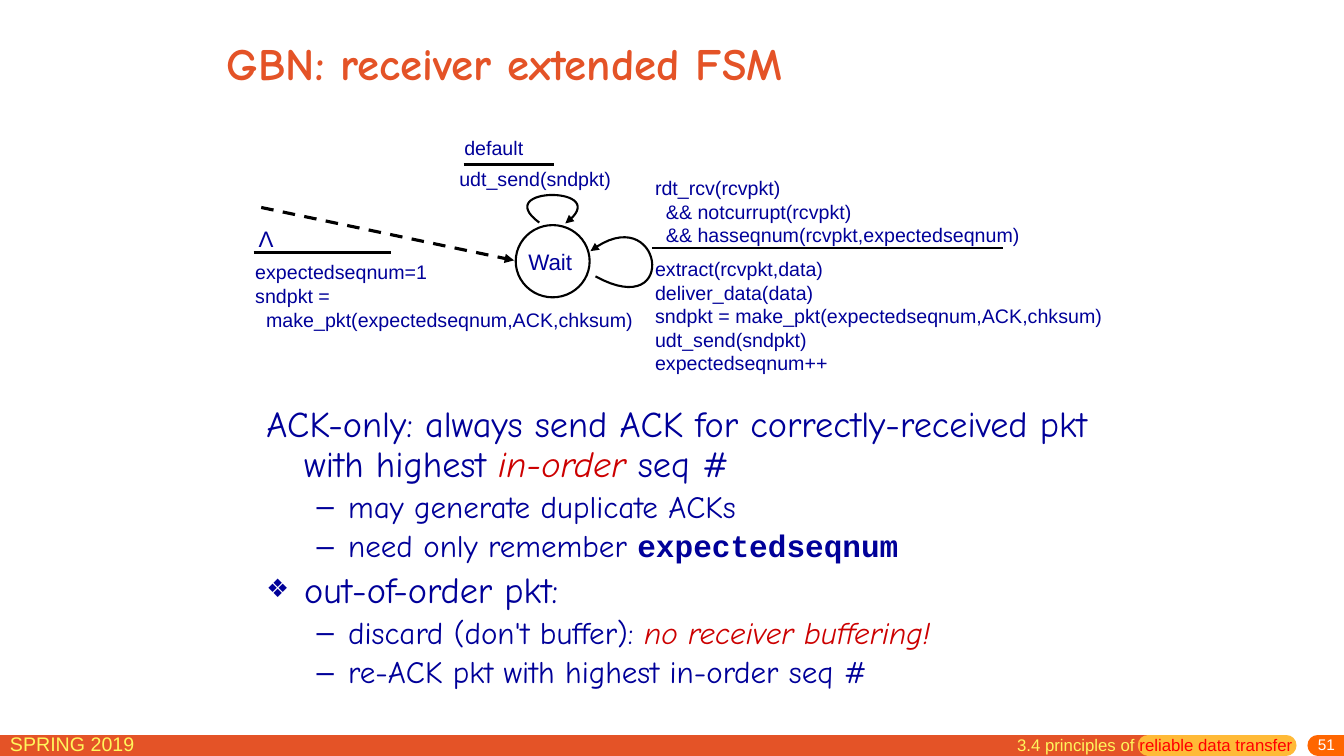
"""Build the slide on the extended state machine of the GBN receiver."""
import dataclasses

import pptx
import pptx.dml.color
import pptx.enum.dml
import pptx.enum.shapes
import pptx.enum.text
import pptx.oxml
import pptx.oxml.ns
import pptx.util

COLUMNS, ROWS = 160, 90
SLIDE_WIDTH, SLIDE_HEIGHT = pptx.util.Inches(13.33), pptx.util.Inches(7.5)
LEFT = pptx.enum.text.PP_ALIGN.LEFT
CENTER = pptx.enum.text.PP_ALIGN.CENTER
RIGHT = pptx.enum.text.PP_ALIGN.RIGHT
MIDDLE = pptx.enum.text.MSO_ANCHOR.MIDDLE
DASH = pptx.enum.dml.MSO_LINE.DASH


@dataclasses.dataclass(frozen=True)
class Theme:
    """Colours, fonts and type sizes of the slide."""
    ink: str = "000099"
    accent: str = "CC0000"
    title: str = "E45327"
    stroke: str = "000000"
    paper: str = "FFFFFF"
    band: str = "E45327"
    pill: str = "FFBA37"
    badge: str = "FF6600"
    footer: str = "FFF65C"
    highlight: str = "FF0000"
    hand: str = "Comic Neue"
    sans: str = "Arial"
    mono: str = "Courier New"
    title_size: float = 32
    point_size: float = 25.9
    detail_size: float = 22.2
    state_size: float = 16
    label_size: float = 14
    section_size: float = 12
    page_size: float = 11
    thin: float = 1.5
    thick: float = 2.25
    bar: float = 15


THEME = Theme()


def col(count):
    """Return a horizontal length in grid columns."""
    return round(SLIDE_WIDTH * count / COLUMNS)


def row(count):
    """Return a vertical length in grid rows."""
    return round(SLIDE_HEIGHT * count / ROWS)


def rgb(code):
    """Return the colour for a hexadecimal code."""
    return pptx.dml.color.RGBColor.from_string(code)


def apply(target, values):
    """Set every attribute named in a dict of format values."""
    for name, value in values.items():
        setattr(target, name, value)


def append_xml(parent, tag, **attributes):
    """Append one empty drawing element to a parent."""
    element = pptx.oxml.parse_xml(f"<a:{tag} {pptx.oxml.ns.nsdecls('a')}/>")
    for name, value in attributes.items():
        element.set(name, value)
    parent.append(element)


def place(box):
    """Turn a box in grid units into position and size attributes."""
    x, y, width, height = box
    return {"left": col(x), "top": row(y), "width": col(width), "height": row(height)}


def write(paragraph, text, size, color=THEME.ink, font=THEME.sans, **extras):
    """Add one formatted run to a paragraph."""
    run = paragraph.add_run()
    run.text = text
    apply(run.font, {"size": pptx.util.Pt(size), "name": font, **extras})
    run.font.color.rgb = rgb(color)


def next_paragraph(frame, index):
    """Return the first paragraph of a frame, or a new one after it."""
    return frame.add_paragraph() if index else frame.paragraphs[0]


def add_label(slide, box, lines, size=THEME.label_size, align=LEFT, **frame_values):
    """Add a text box whose lines are an indent followed by (text, colour) runs."""
    frame = slide.shapes.add_textbox(*place(box).values()).text_frame
    apply(frame, {"word_wrap": True, **frame_values})
    for index, (indent, *runs) in enumerate(lines):
        paragraph = next_paragraph(frame, index)
        paragraph.alignment = align
        if indent:
            paragraph._p.get_or_add_pPr().set("marL", str(col(indent)))
        for text, color in runs:
            write(paragraph, text, size, color)


def code(*texts, indent_from=None):
    """Return label lines in ink, indented from the given line onward."""
    start = len(texts) if indent_from is None else indent_from
    return [(1.3 if index >= start else 0, (text, THEME.ink)) for index, text in enumerate(texts)]


def style_line(shape, color, width, arrow=False, cap=None, **line_values):
    """Format the outline of a connector or a curve."""
    shape.line.color.rgb = rgb(color)
    apply(shape.line, {"width": pptx.util.Pt(width), **line_values})
    outline = shape.element.spPr.find(pptx.oxml.ns.qn("a:ln"))
    if cap:
        outline.set("cap", cap)
    if arrow:
        append_xml(outline, "tailEnd", type="triangle")


def add_line(slide, start, end, color=THEME.stroke, width=THEME.thick, **values):
    """Add a straight connector between two grid points."""
    kind = pptx.enum.shapes.MSO_CONNECTOR.STRAIGHT
    line = slide.shapes.add_connector(kind, col(start[0]), row(start[1]), col(end[0]), row(end[1]))
    style_line(line, color, width, **values)
    append_xml(line.element.spPr, "effectLst")


def add_loop(slide, *controls, steps=32):
    """Add an arrow along the cubic curve of four control points."""
    points = []
    for step in range(steps + 1):
        t = step / steps
        weights = ((1 - t) ** 3, 3 * t * (1 - t) ** 2, 3 * t ** 2 * (1 - t), t ** 3)
        x, y = (sum(w * p[axis] for w, p in zip(weights, controls)) for axis in (0, 1))
        points.append((col(x), row(y)))
    builder = slide.shapes.build_freeform(*points[0])
    builder.add_line_segments(points[1:], close=False)
    loop = builder.convert_to_shape()
    loop.fill.background()
    loop.shadow.inherit = False
    style_line(loop, THEME.stroke, THEME.thin, arrow=True)


def add_state(slide, box, label_box, name):
    """Add a state circle with its name."""
    state = slide.shapes.add_shape(pptx.enum.shapes.MSO_SHAPE.OVAL, *place(box).values())
    state.shadow.inherit = False
    state.fill.solid()
    state.fill.fore_color.rgb = rgb(THEME.paper)
    style_line(state, THEME.stroke, THEME.thin)
    add_label(slide, label_box, code(name), THEME.state_size, CENTER)


def fill_title(slide, box, text):
    """Move the title placeholder and write the title."""
    title = slide.shapes.title
    apply(title, place(box))
    apply(title.text_frame, {"vertical_anchor": MIDDLE, "auto_size": pptx.enum.text.MSO_AUTO_SIZE.NONE})
    paragraph = title.text_frame.paragraphs[0]
    paragraph.alignment = LEFT
    write(paragraph, text, THEME.title_size, THEME.title, THEME.hand, bold=True)


def fill_body(slide, box, points):
    """Move the body placeholder and write the list of (level, bullet, runs)."""
    body = slide.placeholders[1]
    apply(body, place(box))
    body.text_frame.auto_size = pptx.enum.text.MSO_AUTO_SIZE.NONE
    for index, (level, bullet, runs) in enumerate(points):
        size = (THEME.point_size, THEME.detail_size)[level]
        margin, hang = ((4.5, 4.5), (9.75, 3.75))[level]
        paragraph = next_paragraph(body.text_frame, index)
        apply(paragraph, {"level": level, "line_spacing": 0.9, "space_before": pptx.util.Pt(size * 0.2)})
        properties = paragraph._p.get_or_add_pPr()
        properties.set("marL", str(col(margin)))
        properties.set("indent", str(-col(hang)))
        if bullet:
            append_xml(properties, "buSzPct", val="100000" if level else "70000")
            append_xml(properties, "buChar", char=bullet)
        else:
            append_xml(properties, "buNone")
        for text, values in runs:
            write(paragraph, text, size, **{"font": THEME.hand, **values})


def add_footer(slide):
    """Add the footer band with term, section and page number."""
    for start, end, color in ((0, 136.7, THEME.band), (136.7, 153.1, THEME.pill), (156.9, COLUMNS, THEME.badge)):
        add_line(slide, (start, 88.7), (end, 88.7), color, THEME.bar, cap="rnd")
    add_label(slide, (0, 86.6, 27.5, 3.7), [(0, ("SPRING 2019", THEME.footer))])
    add_label(slide, (129, 87.8, 31.1, 2.2), [(0, ("51", THEME.paper))], THEME.page_size, RIGHT,
              vertical_anchor=MIDDLE, margin_top=0, margin_bottom=row(0.6))
    section = (0, ("3.4 principles of ", THEME.footer), ("reliable data transfer", THEME.highlight))
    add_label(slide, (119.9, 86.9, 36.1, 3.7), [section], THEME.section_size)


def add_machine(slide):
    """Add the state, its transitions and their event and action labels."""
    add_state(slide, (61.4, 26.8, 8.8, 8.6), (60.2, 29, 10.6, 3.1), "Wait")
    add_line(slide, (31.1, 24.7), (61.2, 31), arrow=True, dash_style=DASH)
    add_loop(slide, (64.2, 26.5), (58.2, 22.1), (73.4, 22.1), (67.3, 26.6))
    add_loop(slide, (70.9, 32.9), (81.1, 38.5), (78.8, 23.4), (70.3, 29.9))
    for start, end, y, width in ((55.2, 65.9, 19.6, THEME.thick), (77.6, 119.4, 29.5, THEME.thin),
                                 (30.2, 46.6, 30.1, THEME.thick)):
        add_line(slide, (start, y), (end, y), width=width)
    add_label(slide, (54.1, 15.6, 9.5, 3.2), code("default"))
    add_label(slide, (53.5, 19.3, 21.2, 4.1), code("udt_send(sndpkt)"))
    add_label(slide, (76.8, 20.4, 46.8, 7.4), code(
        "rdt_rcv(rcvpkt)", "&& notcurrupt(rcvpkt)", "&& hasseqnum(rcvpkt,expectedseqnum)", indent_from=1))
    add_label(slide, (76.8, 30, 56.6, 11.3), code(
        "extract(rcvpkt,data)", "deliver_data(data)", "sndpkt = make_pkt(expectedseqnum,ACK,chksum)",
        "udt_send(sndpkt)", "expectedseqnum++"))
    add_label(slide, (29.6, 26.2, 4.2, 4.4), code("Λ"), THEME.state_size, word_wrap=False)
    add_label(slide, (29.2, 30.4, 47.8, 12.8), code(
        "expectedseqnum=1", "sndpkt =", "make_pkt(expectedseqnum,ACK,chksum)", indent_from=2))


def main():
    """Build and save the presentation."""
    deck = pptx.Presentation()
    apply(deck, {"slide_width": SLIDE_WIDTH, "slide_height": SLIDE_HEIGHT})
    slide = deck.slides.add_slide(deck.slide_layouts[1])
    stress = {"color": THEME.accent, "italic": True}
    fill_title(slide, (25.8, 2.8, 102, 9.2), "GBN: receiver extended FSM")
    fill_body(slide, (30.5, 47.8, 106.9, 37.4), [
        (0, None, [("ACK-only: always send ACK for correctly-received pkt with highest ", {}),
                   ("in-order ", stress), ("seq #", {})]),
        (1, "–", [("may generate duplicate ACKs", {})]),
        (1, "–", [("need only remember ", {}), ("expectedseqnum", {"font": THEME.mono, "bold": True})]),
        (0, "❖", [("out-of-order pkt:", {})]),
        (1, "–", [("discard (don't buffer): ", {}), ("no receiver buffering!", stress)]),
        (1, "–", [("re-ACK pkt with highest in-order seq #", {})]),
    ])
    add_machine(slide)
    add_footer(slide)
    deck.save("out.pptx")


if __name__ == "__main__":
    main()
